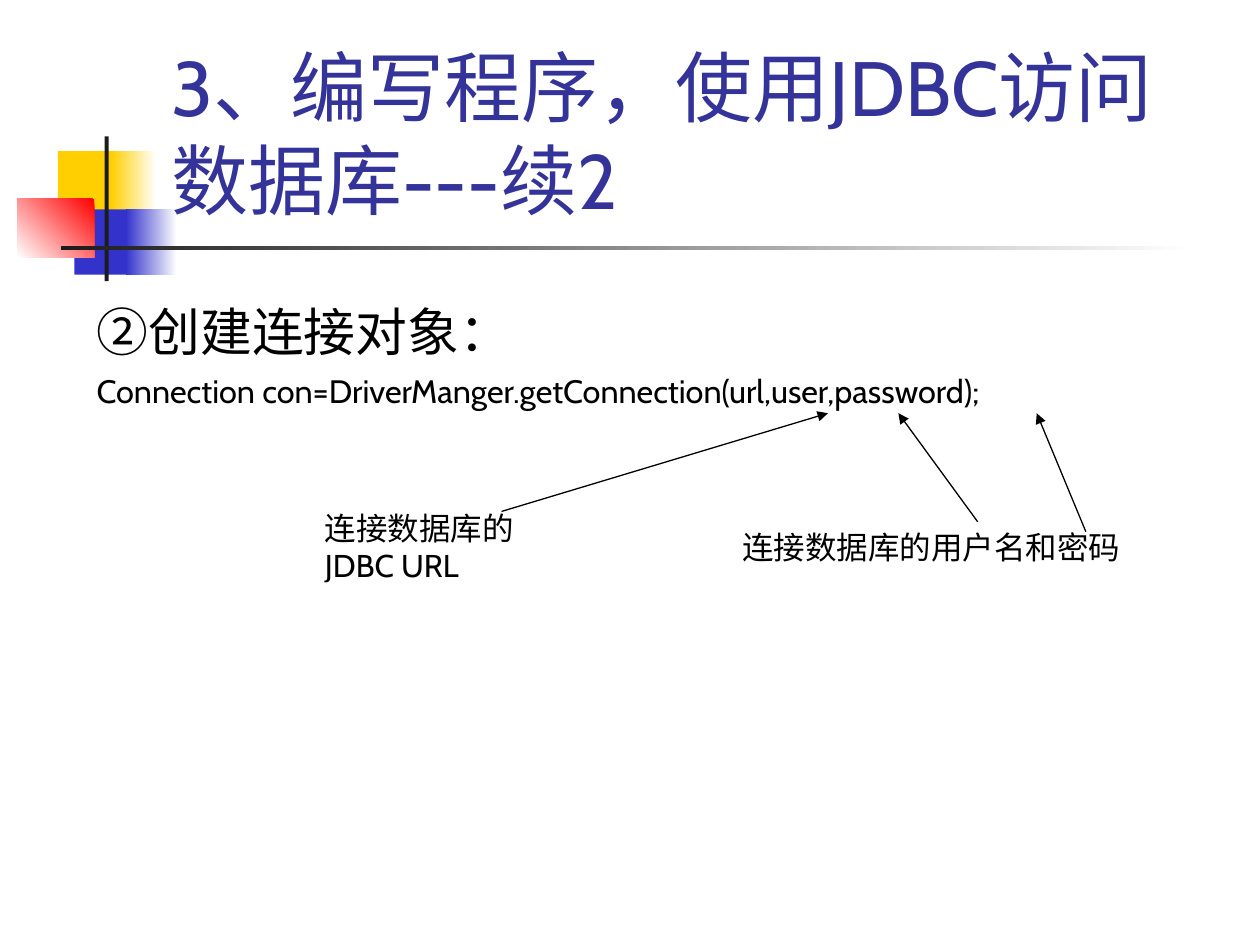
from lxml import etree
from pptx import Presentation
from pptx.dml.color import RGBColor
from pptx.enum.shapes import MSO_CONNECTOR, MSO_SHAPE
from pptx.enum.text import MSO_ANCHOR
from pptx.oxml.ns import qn
from pptx.util import Cm, Pt

RECTANGLE = MSO_SHAPE.RECTANGLE
STRAIGHT = MSO_CONNECTOR.STRAIGHT
TOP, BOTTOM = MSO_ANCHOR.TOP, MSO_ANCHOR.BOTTOM

WHITE = RGBColor(0xFF, 0xFF, 0xFF)
BLACK = RGBColor(0x00, 0x00, 0x00)
CHARCOAL = RGBColor(0x1C, 0x1C, 0x1C)
YELLOW = RGBColor(0xFF, 0xCF, 0x01)
BLUE = RGBColor(0x33, 0x33, 0xCC)
RED = RGBColor(0xFF, 0x00, 0x00)
TITLE_BLUE = RGBColor(0x33, 0x33, 0x99)


def write_text(para, text, *, size, color, font, before=0, hanging=0):
    """Fill a paragraph; hanging is the hanging indent in cm."""
    if hanging:
        properties = para._p.get_or_add_pPr()
        properties.set("marL", str(Cm(hanging)))
        properties.set("indent", str(-Cm(hanging)))
    para.space_before = Pt(before)
    span = para.add_run()
    span.text = text
    span.font.name = font
    span.font.size = Pt(size)
    span.font.color.rgb = color


class SlideBuilder:
    font = "Cabin"

    def __init__(self, page):
        self.page = page

    def bar(self, left, top, width, height, *colors, angle=0):
        """Draw a borderless rectangle, solid or fading between two colours."""
        bar = self.page.shapes.add_shape(
            RECTANGLE, Cm(left), Cm(top), Cm(width), Cm(height))
        bar.shadow.inherit = False
        bar.line.fill.background()
        if len(colors) == 1:
            bar.fill.solid()
            bar.fill.fore_color.rgb = colors[0]
            return
        bar.fill.gradient()
        bar.fill.gradient_angle = angle
        for stop, color in zip(bar.fill.gradient_stops, colors):
            stop.color.rgb = color

    def text(self, left, top, width, height, lines, color=BLACK, anchor=TOP):
        """Add a box; lines holds (text, format keywords) pairs."""
        box = self.page.shapes.add_textbox(
            Cm(left), Cm(top), Cm(width), Cm(height))
        frame = box.text_frame
        frame.word_wrap = True
        frame.vertical_anchor = anchor
        for number, (text, style) in enumerate(lines):
            para = frame.add_paragraph() if number else frame.paragraphs[0]
            write_text(para, text, color=color, font=self.font, **style)

    def arrow(self, start, end):
        arrow = self.page.shapes.add_connector(
            STRAIGHT, *(Cm(value) for value in (*start, *end)))
        arrow.line.color.rgb = BLACK
        arrow.line.width = Pt(0.75)
        etree.SubElement(arrow.line._get_or_add_ln(), qn("a:tailEnd"),
                         type="triangle")
        etree.SubElement(arrow._element.spPr, qn("a:effectLst"))


def main():
    deck = Presentation()
    deck.slide_width, deck.slide_height = Cm(25.4), Cm(19.05)
    builder = SlideBuilder(deck.slides.add_slide(deck.slide_layouts[6]))

    builder.bar(1.17, 3.05, 1.22, 1.32, YELLOW)
    builder.bar(2.24, 3.05, 0.91, 1.32, WHITE, YELLOW, angle=180)
    builder.bar(1.5, 4.22, 1.17, 1.32, BLUE)
    builder.bar(2.54, 4.22, 1.02, 1.32, WHITE, BLUE, angle=180)
    builder.bar(0.35, 4.01, 1.55, 1.18, RED, WHITE, angle=225)
    builder.bar(2.11, 2.75, 0.08, 2.92, CHARCOAL)
    builder.bar(1.23, 4.95, 22.86, 0.09, WHITE, CHARCOAL, angle=180)

    builder.text(3.2, 0.58, 21.64, 4.07,
                 [("3、编写程序，使用JDBC访问数据库---续2", {"size": 44})],
                 color=TITLE_BLUE, anchor=BOTTOM)
    builder.text(1.7, 5.92, 22, 3.2, [
        ("②创建连接对象：", {"size": 29.6, "hanging": 0.95}),
        ("Connection con=DriverManger.getConnection(url,user,password);",
         {"size": 18.5, "before": 5, "hanging": 0.95}),
    ])

    builder.text(6.3, 10.13, 5.4, 1.78,
                 [("连接数据库的JDBC URL", {"size": 18})])
    builder.text(14.71, 10.52, 8.2, 1.02,
                 [("连接数据库的用户名和密码", {"size": 18})])

    arrow_tip = 8.33
    for start, tip_left in (((10.11, 10.31), 16.69),
                            ((19.71, 10.52), 18.11),
                            ((21.89, 10.72), 20.9)):
        builder.arrow(start, (tip_left, arrow_tip))

    deck.save("out.pptx")


if __name__ == "__main__":
    main()
